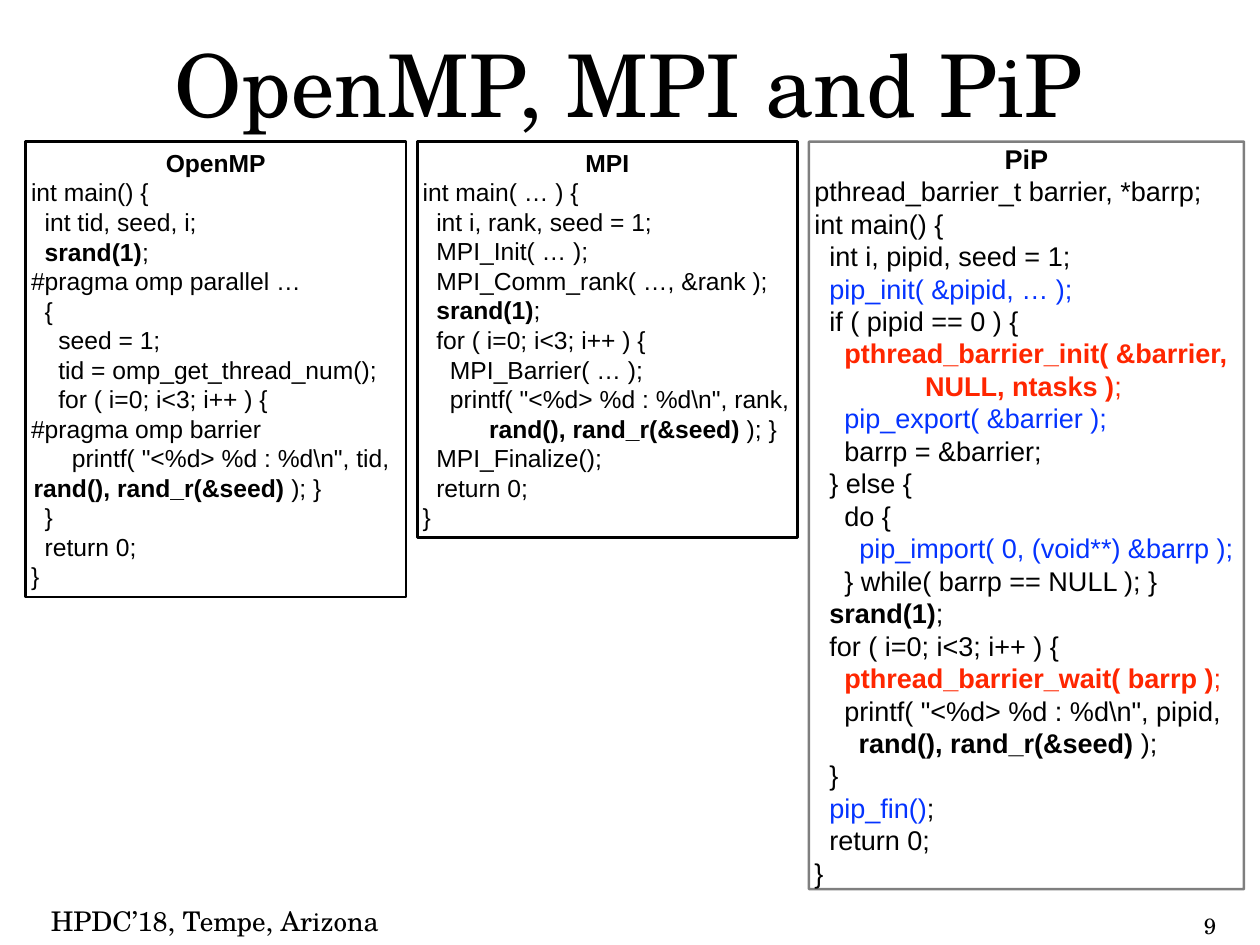
from lxml import etree
from pptx import Presentation
from pptx.dml.color import RGBColor
from pptx.enum.shapes import MSO_SHAPE
from pptx.enum.text import MSO_ANCHOR, PP_ALIGN
from pptx.oxml.ns import qn
from pptx.util import Inches, Pt

RECTANGLE = MSO_SHAPE.RECTANGLE
MIDDLE, BOTTOM = MSO_ANCHOR.MIDDLE, MSO_ANCHOR.BOTTOM
CENTER, LEFT = PP_ALIGN.CENTER, PP_ALIGN.LEFT

SLIDE_WIDTH, SLIDE_HEIGHT = 14.22, 10.67
BLACK = "000000"
SERIF, SANS = "TeX Gyre Schola", "Arial"
BOLD = {"bold": True}
BLUE = {"color": "0433FF"}
RED = {"color": "FF2600"}
RED_BOLD = {**RED, **BOLD}

SEED_LINE = ["  ", ("srand(1)", BOLD), ";"]
RANDOM_CALLS = ("rand(), rand_r(&seed)", BOLD)
LOOP = "for ( i=0; i<3; i++ ) {"

LABELS = [
    ("OpenMP, MPI and PiP", (0.33, 0.28, 13.53, 1.31), 70.3, MIDDLE),
    ("HPDC’18, Tempe, Arizona", (0.33, 10.15, 4.19, 0.49), 22, MIDDLE),
    ("9", (13.51, 10.24, 0.29, 0.42), 18, BOTTOM),
]

OPENMP = [
    "int main() {",
    "  int tid, seed, i;",
    SEED_LINE,
    "#pragma omp parallel …",
    "  {",
    "    seed = 1;",
    "    tid = omp_get_thread_num();",
    "    " + LOOP,
    "#pragma omp barrier",
    '      printf( "<%d> %d : %d\\n", tid,',
    [RANDOM_CALLS, " ); }"],
    "  }",
    "  return 0;",
    "}",
]
MPI = [
    "int main( … ) {",
    "  int i, rank, seed = 1;",
    "  MPI_Init( … );",
    "  MPI_Comm_rank( …, &rank );",
    SEED_LINE,
    "  " + LOOP,
    "    MPI_Barrier( … );",
    '    printf( "<%d> %d : %d\\n", rank,',
    [RANDOM_CALLS, " ); }"],
    "  MPI_Finalize();",
    "  return 0;",
    "}",
]
PIP = [
    "pthread_barrier_t barrier, *barrp;",
    "int main() {",
    "  int i, pipid, seed = 1;",
    ["  ", ("pip_init( &pipid, … );", BLUE)],
    "  if ( pipid == 0 ) {",
    ["    ", ("pthread_barrier_init( &barrier,", RED_BOLD)],
    [("NULL, ntasks )", RED_BOLD), (";", RED)],
    ["    ", ("pip_export( &barrier );", BLUE)],
    "    barrp = &barrier;",
    "  } else {",
    "    do {",
    ["      ", ("pip_import( 0, (void**) &barrp );", BLUE)],
    "    } while( barrp == NULL ); }",
    SEED_LINE,
    "  " + LOOP,
    ["    ", ("pthread_barrier_wait( barrp )", RED_BOLD), (";", RED)],
    '    printf( "<%d> %d : %d\\n", pipid,',
    [RANDOM_CALLS, " );"],
    "  }",
    ["  ", ("pip_fin()", BLUE), ";"],
    "  return 0;",
    "}",
]

PANELS = [
    {"name": "OpenMP", "code": OPENMP, "width": 4.29, "height": 5.14,
     "size": 20, "opacity": 100, "indents": {10: 0.03}},
    {"name": "MPI", "code": MPI, "width": 4.29, "height": 4.47,
     "size": 20, "opacity": 100, "indents": {8: 0.75}},
    {"name": "PiP", "code": PIP, "width": 4.91, "height": 8.44,
     "size": 22, "opacity": 49, "indents": {6: 1.25, 17: 0.5}},
]
PANEL_LEFT, PANEL_TOP, PANEL_GAP = 0.29, 1.6, 0.13
LINE_PITCH = 1.2
INSET = 0.06


def rgb(color):
    return RGBColor.from_string(color)


def add_span(para, text, size=20, font=SANS, color=BLACK, bold=False):
    span = para.add_run()
    span.text = text
    span.font.size = Pt(size)
    span.font.name = font
    span.font.bold = bold
    span.font.color.rgb = rgb(color)


def set_frame(frame, anchor, wrap):
    frame.margin_left = frame.margin_right = Inches(INSET)
    frame.margin_top = frame.margin_bottom = Inches(INSET)
    frame.vertical_anchor = anchor
    frame.word_wrap = wrap


def add_label(page, text, place, size, anchor):
    box = page.shapes.add_textbox(*map(Inches, place))
    set_frame(box.text_frame, anchor, False)
    para = box.text_frame.paragraphs[0]
    para.alignment = CENTER
    add_span(para, text, size=size, font=SERIF)


def add_panel(page, left, panel):
    box = page.shapes.add_shape(
        RECTANGLE, *map(Inches, (left, PANEL_TOP, panel["width"], panel["height"])))
    box.shadow.inherit = False
    box.fill.background()
    box.line.color.rgb = rgb(BLACK)
    box.line.width = Pt(2)
    if panel["opacity"] < 100:
        for shade in box.line._ln.iter(qn("a:srgbClr")):
            etree.SubElement(shade, qn("a:alpha"), val=str(panel["opacity"] * 1000))
    frame = box.text_frame
    set_frame(frame, MIDDLE, True)
    size = panel["size"]
    lines = [[(panel["name"], BOLD)]] + panel["code"]
    for number, line in enumerate(lines):
        para = frame.add_paragraph() if number else frame.paragraphs[0]
        para.alignment = LEFT if number else CENTER
        para.line_spacing = Pt(size * LINE_PITCH)
        indent = panel["indents"].get(number - 1, 0)
        para._p.get_or_add_pPr().set("indent", str(Inches(indent)))
        for part in [line] if isinstance(line, str) else line:
            text, style = (part, {}) if isinstance(part, str) else part
            add_span(para, text, size=size, **style)


def main():
    deck = Presentation()
    deck.slide_width, deck.slide_height = Inches(SLIDE_WIDTH), Inches(SLIDE_HEIGHT)
    page = deck.slides.add_slide(deck.slide_layouts[6])
    for label in LABELS:
        add_label(page, *label)
    left = PANEL_LEFT
    for panel in PANELS:
        add_panel(page, left, panel)
        left += panel["width"] + PANEL_GAP
    deck.save("out.pptx")


if __name__ == "__main__":
    main()
